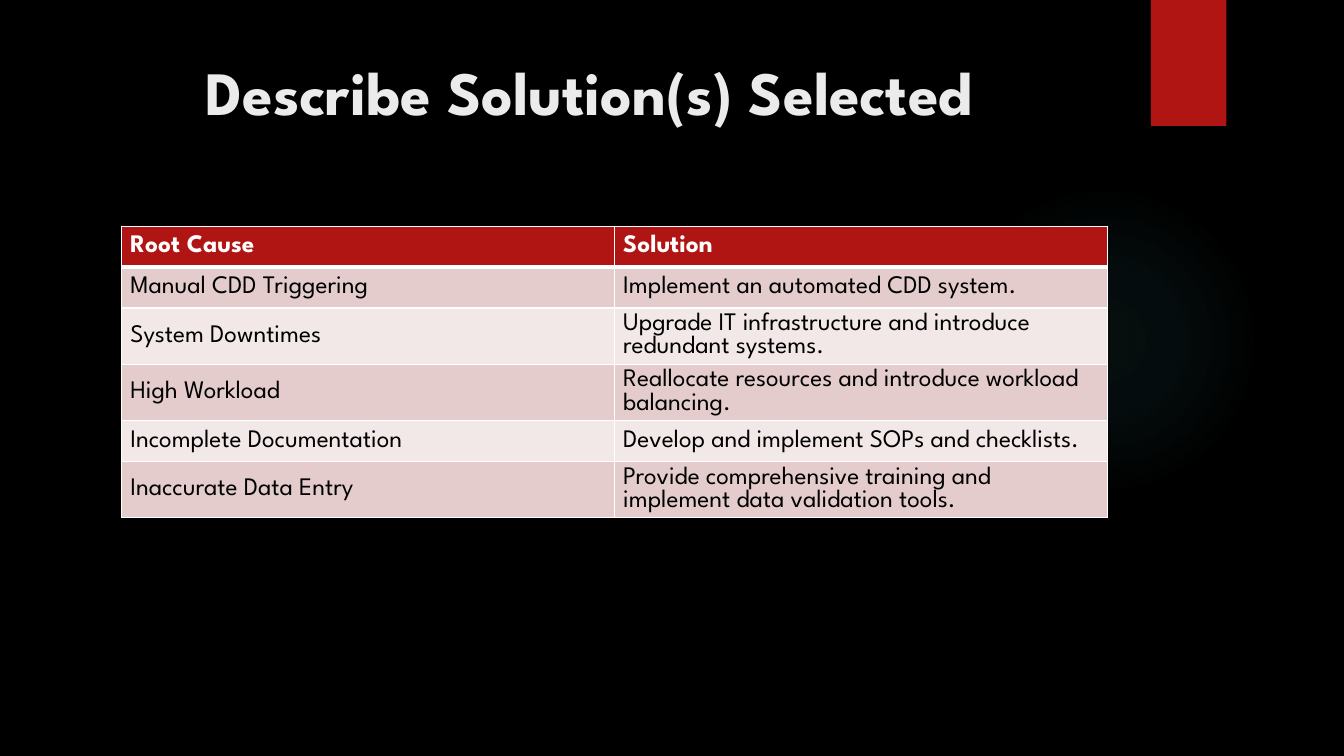
from dataclasses import dataclass

from lxml import etree
from pptx import Presentation
from pptx import util as u
from pptx.dml.color import RGBColor
from pptx.enum import shapes, text
from pptx.oxml import parse_xml
from pptx.oxml.ns import nsdecls, qn


@dataclass(frozen=True)
class Theme:
    font: str = "League Spartan"
    background: str = "000000"
    accent: str = "B01513"
    glow: str = "50B9C1"
    title: str = "EBEBEB"
    header: str = "FFFFFF"
    body: str = "000000"
    rule: str = "FFFFFF"
    bands: tuple = ("E4CCCC", "F2E8E7")
    title_size: int = 44
    table_size: int = 18
    table_leading: float = 16.5


def write(frame, words, *, font, size, color, bold=False,
          align=text.PP_ALIGN.LEFT, leading=None):
    paragraph = frame.paragraphs[0]
    paragraph.alignment = align
    if leading:
        paragraph.line_spacing = u.Pt(leading)
    run = paragraph.add_run()
    run.text = words
    run.font.name = font
    run.font.size = u.Pt(size)
    run.font.bold = bold
    run.font.color.rgb = RGBColor.from_string(color)


class Deck:
    def __init__(self, theme):
        self.theme = theme
        self.deck = Presentation()
        self.deck.slide_width, self.deck.slide_height = u.Pt(960), u.Pt(540)
        self.slide = self.deck.slides.add_slide(self.deck.slide_layouts[6])
        self.paint(self.slide.background, theme.background)

    def paint(self, part, color):
        part.fill.solid()
        part.fill.fore_color.rgb = RGBColor.from_string(color)

    def shape(self, kind, *box):
        shape = self.slide.shapes.add_shape(kind, *map(u.Pt, box))
        shape.shadow.inherit = False
        shape.line.fill.background()
        return shape

    def block(self, *box):
        self.paint(self.shape(shapes.MSO_SHAPE.RECTANGLE, *box), self.theme.accent)

    def glow(self, left, top, size, stops):
        circle = self.shape(shapes.MSO_SHAPE.OVAL, left, top, size, size)
        marks = "".join(
            f'<a:gs pos="{place * 1000}"><a:srgbClr val="{self.theme.glow}">'
            f'<a:alpha val="{alpha * 1000}"/></a:srgbClr></a:gs>'
            for place, alpha in stops)
        gradient = parse_xml(
            f'<a:gradFill {nsdecls("a")} rotWithShape="1"><a:gsLst>{marks}</a:gsLst>'
            '<a:path path="circle"><a:fillToRect l="50000" t="50000" r="50000" b="50000"/>'
            '</a:path></a:gradFill>')
        circle._element.spPr.find(qn("a:prstGeom")).addnext(gradient)

    def title(self, words, *box, inset):
        frame = self.slide.shapes.add_textbox(*map(u.Pt, box)).text_frame
        frame.word_wrap = True
        frame.margin_top = u.Pt(inset)
        write(frame, words, font=self.theme.font, size=self.theme.title_size,
              color=self.theme.title, bold=True, align=text.PP_ALIGN.CENTER)

    def border(self, cell, side, width):
        properties = cell._tc.get_or_add_tcPr()
        line = etree.SubElement(properties, qn(f"a:ln{side}"), w=str(u.Pt(width)))
        fill = etree.SubElement(line, qn("a:solidFill"))
        etree.SubElement(fill, qn("a:srgbClr"), val=self.theme.rule)

    def table(self, rows, left, top, width, row_height):
        theme = self.theme
        grid = self.slide.shapes.add_table(
            len(rows), len(rows[0]), u.Pt(left), u.Pt(top),
            u.Pt(width), u.Pt(row_height * len(rows))).table
        for r, row in enumerate(rows):
            header = r == 0
            for c, words in enumerate(row):
                cell = grid.cell(r, c)
                cell.vertical_anchor = text.MSO_ANCHOR.MIDDLE
                cell.margin_left = cell.margin_right = u.Pt(6.1)
                cell.margin_top = cell.margin_bottom = u.Pt(3.6)
                write(cell.text_frame, words, font=theme.font, size=theme.table_size,
                      color=theme.header if header else theme.body, bold=header,
                      leading=theme.table_leading)
                # Borders come before the fill; the header rule is heavier
                for side in "LRTB":
                    heavy = (r, side) in ((0, "B"), (1, "T"))
                    self.border(cell, side, 3 if heavy else 1)
                self.paint(cell, theme.accent if header else theme.bands[(r - 1) % 2])


SOLUTIONS = [
    ("Root Cause", "Solution"),
    ("Manual CDD Triggering", "Implement an automated CDD system."),
    ("System Downtimes", "Upgrade IT infrastructure and introduce redundant systems."),
    ("High Workload", "Reallocate resources and introduce workload balancing."),
    ("Incomplete Documentation", "Develop and implement SOPs and checklists."),
    ("Inaccurate Data Entry",
     "Provide comprehensive training and implement data validation tools."),
]


def main():
    page = Deck(Theme())
    # Backdrop: faint glow and red tab
    page.glow(677.5, 131.8, 221.8, [(0, 7), (36, 6), (69, 0)])
    page.block(822, 0, 54, 90)
    # Heading
    page.title("Describe Solution(s) Selected", 51, 36, 741, 110, inset=2.6)
    # Causes and their solutions
    page.table(SOLUTIONS, 87, 161.6, 704.2, 29.2)
    page.deck.save("out.pptx")


if __name__ == "__main__":
    main()
